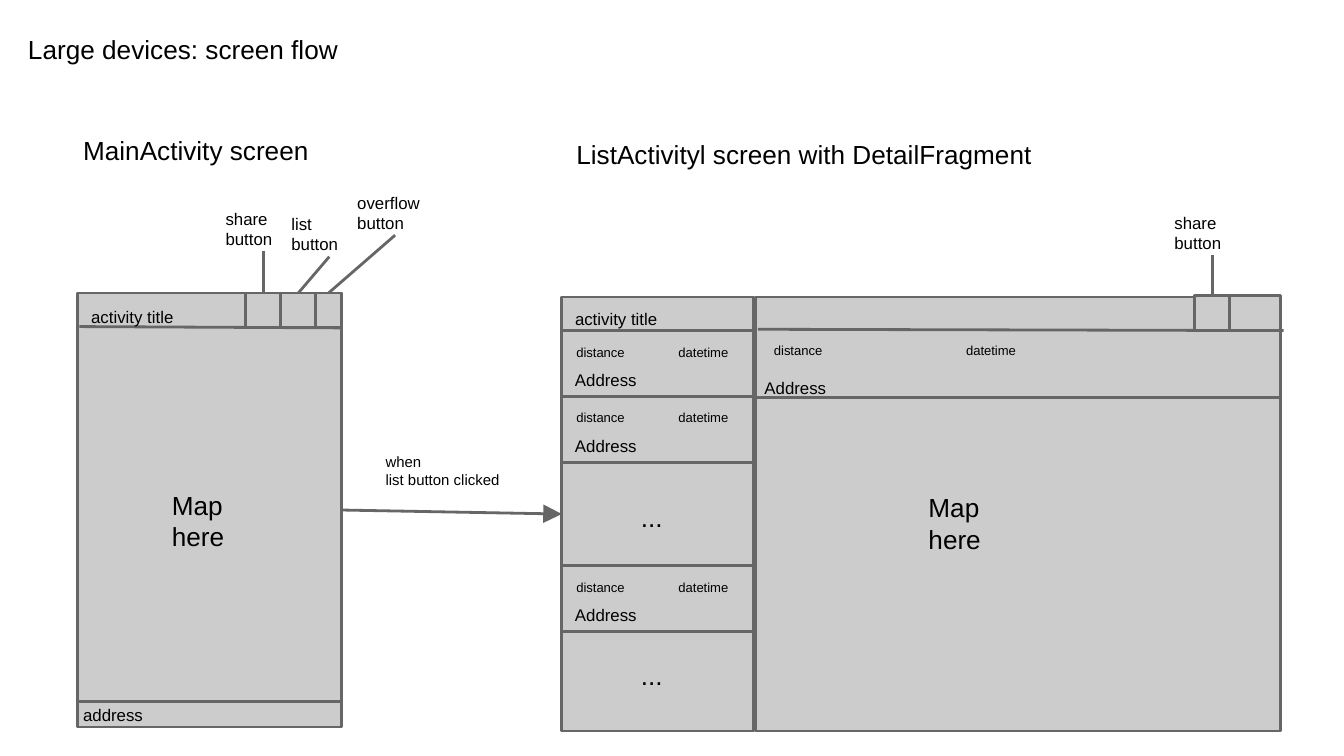
from lxml import etree
from pptx import Presentation
from pptx.dml.color import RGBColor
from pptx.enum.shapes import MSO_CONNECTOR, MSO_SHAPE
from pptx.enum.text import MSO_ANCHOR, MSO_AUTO_SIZE
from pptx.oxml.ns import qn
from pptx.util import Pt

PX = 9144
STRAIGHT = MSO_CONNECTOR.STRAIGHT
RECTANGLE = MSO_SHAPE.RECTANGLE
TOP_ANCHOR = MSO_ANCHOR.TOP
FIXED_SIZE = MSO_AUTO_SIZE.NONE
TOP, LEFT, BOTTOM, RIGHT = range(4)
PANEL_FILL, OUTLINE, INK = "CCCCCC", "666666", "000000"
HEADING, LABEL, NOTE, SMALL = 14, 9, 8, 7
BUTTON = 26


def paint(color_format, color):
    color_format.rgb = RGBColor.from_string(color)


def emu(*lengths):
    return [length * PX for length in lengths]


def add_panel(slide, left, top, width, height):
    panel = slide.shapes.add_shape(RECTANGLE, *emu(left, top, width, height))
    panel.shadow.inherit = False
    panel.fill.solid()
    paint(panel.fill.fore_color, PANEL_FILL)
    paint(panel.line.color, OUTLINE)
    panel.line.width = Pt(1.5)
    return panel


def add_text(slide, text, size, left, top, width, height, tab=None):
    label = slide.shapes.add_textbox(*emu(left, top, width, height))
    frame = label.text_frame
    frame.word_wrap = True
    frame.auto_size = FIXED_SIZE
    frame.vertical_anchor = TOP_ANCHOR
    frame.margin_left = frame.margin_top = 10 * PX
    frame.margin_right = frame.margin_bottom = 10 * PX
    frame.text = text
    for paragraph in frame.paragraphs:
        if tab:
            properties = paragraph._p.get_or_add_pPr()
            stops = etree.SubElement(properties, qn("a:tabLst"))
            etree.SubElement(stops, qn("a:tab"), pos=str(tab * PX), algn="l")
        for run in paragraph.runs:
            run.font.name = "Arial"
            run.font.size = Pt(size)
            paint(run.font.color, INK)
    return label


def add_line(slide, x1=0, y1=0, x2=0, y2=0):
    line = slide.shapes.add_connector(STRAIGHT, *emu(x1, y1, x2, y2))
    paint(line.line.color, OUTLINE)
    line.line.width = Pt(1.5)
    etree.SubElement(line._element.spPr, qn("a:effectLst"))
    return line


def join(slide, source, source_side, target, target_side):
    line = add_line(slide)
    line.begin_connect(source, source_side)
    line.end_connect(target, target_side)
    return line


def add_callout(slide, text, left, top, button):
    label = add_text(slide, text, LABEL, left, top, 76, 42)
    join(slide, label, BOTTOM, button, TOP)


def draw_main_screen(slide, left, top, width, height):
    screen = add_panel(slide, left, top, width, height)
    add_line(slide, left + 1, top + 25, left + width + 1, top + 26)
    add_line(slide, left + 1, top + 304, left + width + 1, top + 304)
    add_text(slide, "Map\nhere", HEADING, left + 60, top + 136, 77, 43)
    add_text(slide, "address", LABEL, left - 6, top + 296, 71, 34)
    add_text(slide, "activity title", LABEL, left, top, 89, 26)
    callouts = [
        ("overflow\nbutton", 177, 19, 198, -85),
        ("list\nbutton", 151, BUTTON, 149, -69),
        ("share\nbutton", 125, BUTTON, 100, -73),
    ]
    for text, button_x, button_width, label_x, label_y in callouts:
        button = add_panel(slide, left + button_x, top, button_width, BUTTON)
        add_callout(slide, text, left + label_x, top + label_y, button)
    add_text(slide, "MainActivity screen", HEADING, left - 6, top - 128, 364, 43)
    return screen


def draw_list_row(slide, left, top, width, height):
    add_panel(slide, left, top, width, height)
    add_text(slide, "Address", LABEL, left, top + 19, width + 1, 26)
    add_text(slide, "distance\tdatetime", SMALL, left + 1, top, width, 23, tab=76)


def draw_list(slide, left, top, width, height):
    screen = add_panel(slide, left, top, width, height)
    add_text(slide, "activity title", LABEL, left, top - 1, 118, 26)
    for row_y in (25, 74, 200):
        draw_list_row(slide, left, top + row_y, width, 49)
    for gap_y in (142, 260):
        add_text(slide, "...", HEADING, left + 49, top + gap_y, 65, 51)
    add_text(slide, "ListActivityl screen with DetailFragment", HEADING,
             left + 1, top - 128, 364, 43)
    return screen


def draw_detail(slide, left, top, width, height):
    add_panel(slide, left, top, width, height)
    add_line(slide, left + 2, top + 24, left + width + 2, top + 25)
    add_text(slide, "Map\nhere", HEADING, left + 119, top + 135, 152, 43)
    add_panel(slide, left + 353, top - 1, 38, BUTTON)
    share = add_panel(slide, left + 327, top - 1, BUTTON, BUTTON)
    add_text(slide, "distance\tdatetime", SMALL, left + 4, top + 24, width, 26, tab=143)
    add_text(slide, "Address", LABEL, left - 3, top + 50, width + 2, 26)
    add_line(slide, left, top + 75, left + width + 1, top + 75)
    add_callout(slide, "share\nbutton", left + 302, top - 73, share)


def draw_transition(slide, source, target, left, top, width, height):
    arrow = join(slide, source, RIGHT, target, LEFT)
    etree.SubElement(arrow.line._get_or_add_ln(), qn("a:tailEnd"),
                     type="triangle", w="lg", len="lg")
    add_text(slide, "when\nlist button clicked", NOTE, left, top, width, height)


def main():
    deck = Presentation()
    deck.slide_width = 1000 * PX
    deck.slide_height = deck.slide_width * 9 // 16
    slide = deck.slides.add_slide(deck.slide_layouts[6])
    add_text(slide, "Large devices: screen flow", HEADING, 11, 15, 435, 51)
    list_screen = draw_list(slide, 418, 221, 143, 323)
    draw_detail(slide, 562, 221, 391, 323)
    main_screen = draw_main_screen(slide, 58, 218, 196, 323)
    draw_transition(slide, main_screen, list_screen, 277, 327, 118, 53)
    deck.save("out.pptx")


if __name__ == "__main__":
    main()
